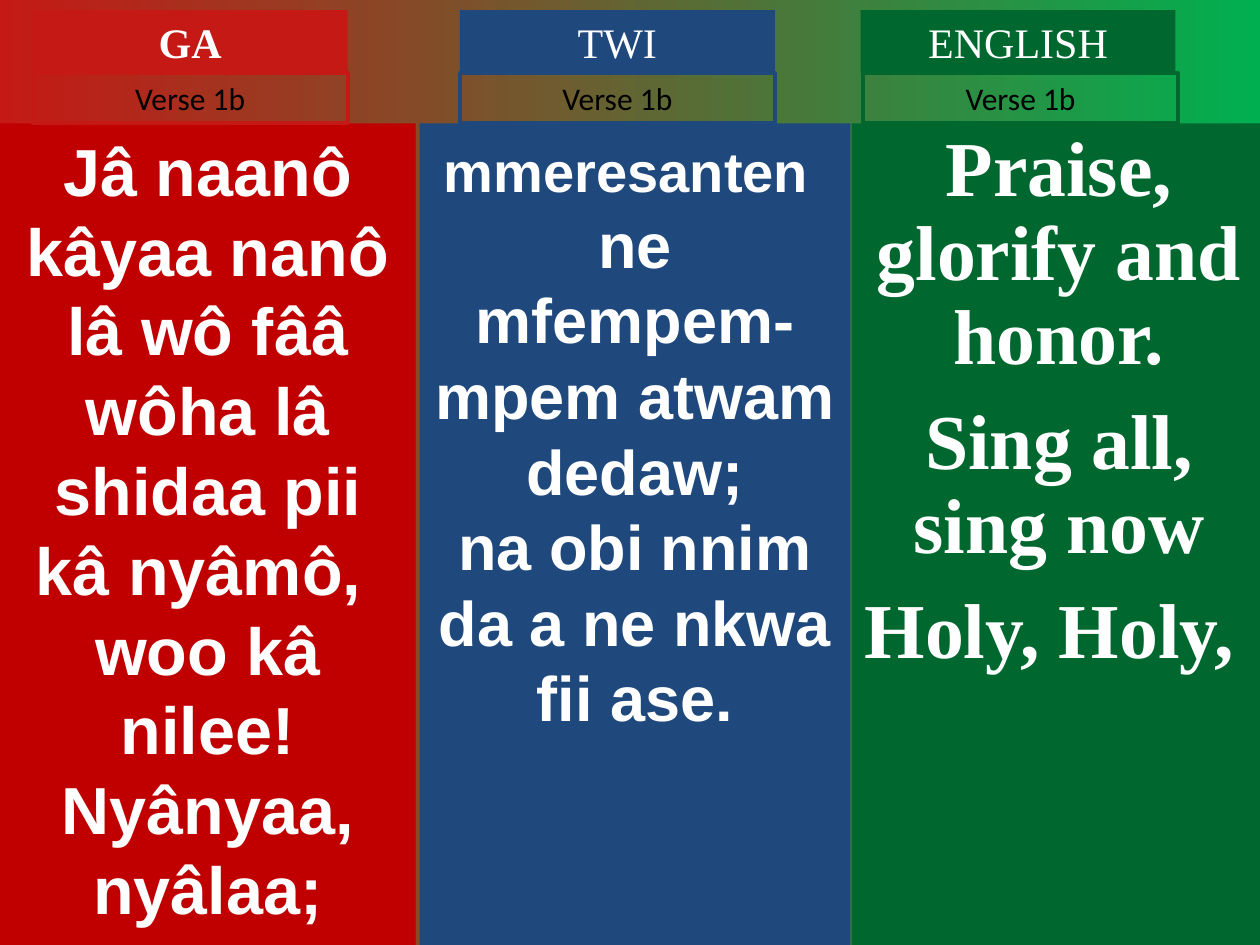
from pptx import Presentation
from pptx.dml.color import RGBColor
from pptx.enum.shapes import MSO_SHAPE
from pptx.enum.text import MSO_ANCHOR, MSO_AUTO_SIZE, PP_ALIGN
from pptx.util import Inches, Pt

WHITE = RGBColor(0xFF, 0xFF, 0xFF)
BLACK = RGBColor(0, 0, 0)
SCARLET = RGBColor(0xC5, 0x19, 0x15)
RED = RGBColor(0xC0, 0, 0)
BLUE = RGBColor(0x1F, 0x49, 0x7D)
GREEN = RGBColor(0, 0x68, 0x2F)
BRIGHT_GREEN = RGBColor(0, 0xB0, 0x50)

# Content: one column per language; each lyric run is (text, size)
VERSE = "Verse 1b"
COLUMNS = [
    dict(language="GA", bold=True, tab_color=SCARLET, panel_color=RED,
         panel=(0, 3.3), tab_left=0.26, verse_left=0.26,
         font="Arial", spacing=None, before=0,
         lyrics=[[("Jâ naanô kâyaa nanô lâ wô fââ wôha lâ shidaa pii kâ nyâmô, ", 38)],
                 [("woo kâ nilee!", 38)],
                 [("Nyânyaa, nyâlaa;", 38)]]),
    dict(language="TWI", bold=False, tab_color=BLUE, panel_color=BLUE,
         panel=(3.33, 3.42), tab_left=3.65, verse_left=3.65,
         font="Arial", spacing=None, before=0,
         lyrics=[[("mmeresanten", 32), (" ", 36)],
                 [("ne mfempem-mpem atwam dedaw;", 36)],
                 [("na obi nnim da a ne nkwa fii ase.", 36)]]),
    dict(language="ENGLISH", bold=False, tab_color=GREEN, panel_color=GREEN,
         panel=(6.76, 3.29), tab_left=6.83, verse_left=6.85,
         font="Times New Roman", spacing=0.9, before=12,
         lyrics=[[("Praise, glorify and honor.", 44.4)],
                 [("Sing all, sing now", 44.4)],
                 [("Holy, Holy, ", 44.4)]]),
]

# Rows, in inches
SLIDE_WIDTH, SLIDE_HEIGHT = 10, 7.5
TAB_TOP, TAB_WIDTH, TAB_HEIGHT = 0.08, 2.5, 0.5
VERSE_TOP, VERSE_HEIGHT = TAB_TOP + TAB_HEIGHT, 0.4
PANEL_TOP = VERSE_TOP + VERSE_HEIGHT


def add_box(page, left, top, width, height, fill=None, line=None):
    box = page.shapes.add_shape(MSO_SHAPE.RECTANGLE, Inches(left), Inches(top),
                                Inches(width), Inches(height))
    box.shadow.inherit = False
    if fill is None:
        box.fill.background()
    else:
        box.fill.solid()
        box.fill.fore_color.rgb = fill
    if line is None:
        box.line.fill.background()
    else:
        box.line.color.rgb = line
        box.line.width = Pt(2.25)
    box.text_frame.word_wrap = True
    box.text_frame.vertical_anchor = MSO_ANCHOR.TOP
    return box


def add_span(para, text, font, size, color, bold):
    para.alignment = PP_ALIGN.CENTER
    span = para.add_run()
    span.text = text
    span.font.name = font
    span.font.size = Pt(size)
    span.font.bold = bold
    span.font.color.rgb = color


def add_label(box, *style):
    box.text_frame.auto_size = MSO_AUTO_SIZE.SHAPE_TO_FIT_TEXT
    add_span(box.text_frame.paragraphs[0], *style)


def add_column(page, column):
    # Lyrics panel
    left, width = column["panel"]
    frame = add_box(page, left, PANEL_TOP, width, SLIDE_HEIGHT - PANEL_TOP,
                    fill=column["panel_color"]).text_frame
    for index, line in enumerate(column["lyrics"]):
        para = frame.add_paragraph() if index else frame.paragraphs[0]
        para.line_spacing = column["spacing"]
        if index:
            para.space_before = Pt(column["before"])
        for text, size in line:
            add_span(para, text, column["font"], size, WHITE, True)
    # Language tab and verse label
    tab = add_box(page, column["tab_left"], TAB_TOP, TAB_WIDTH, TAB_HEIGHT,
                  fill=column["tab_color"])
    add_label(tab, column["language"], "Times New Roman", 24, WHITE, column["bold"])
    verse = add_box(page, column["verse_left"], VERSE_TOP, TAB_WIDTH, VERSE_HEIGHT,
                    line=column["tab_color"])
    add_label(verse, VERSE, "Calibri", 18, BLACK, False)


def main():
    deck = Presentation()
    deck.slide_width, deck.slide_height = Inches(SLIDE_WIDTH), Inches(SLIDE_HEIGHT)
    page = deck.slides.add_slide(deck.slide_layouts[6])

    # Background running from red to green
    backdrop = page.background.fill
    backdrop.gradient()
    backdrop.gradient_angle = 0
    for stop, position, color in zip(backdrop.gradient_stops, (0, 1),
                                     (SCARLET, BRIGHT_GREEN)):
        stop.position = position
        stop.color.rgb = color

    for column in COLUMNS:
        add_column(page, column)
    deck.save("out.pptx")


if __name__ == "__main__":
    main()
